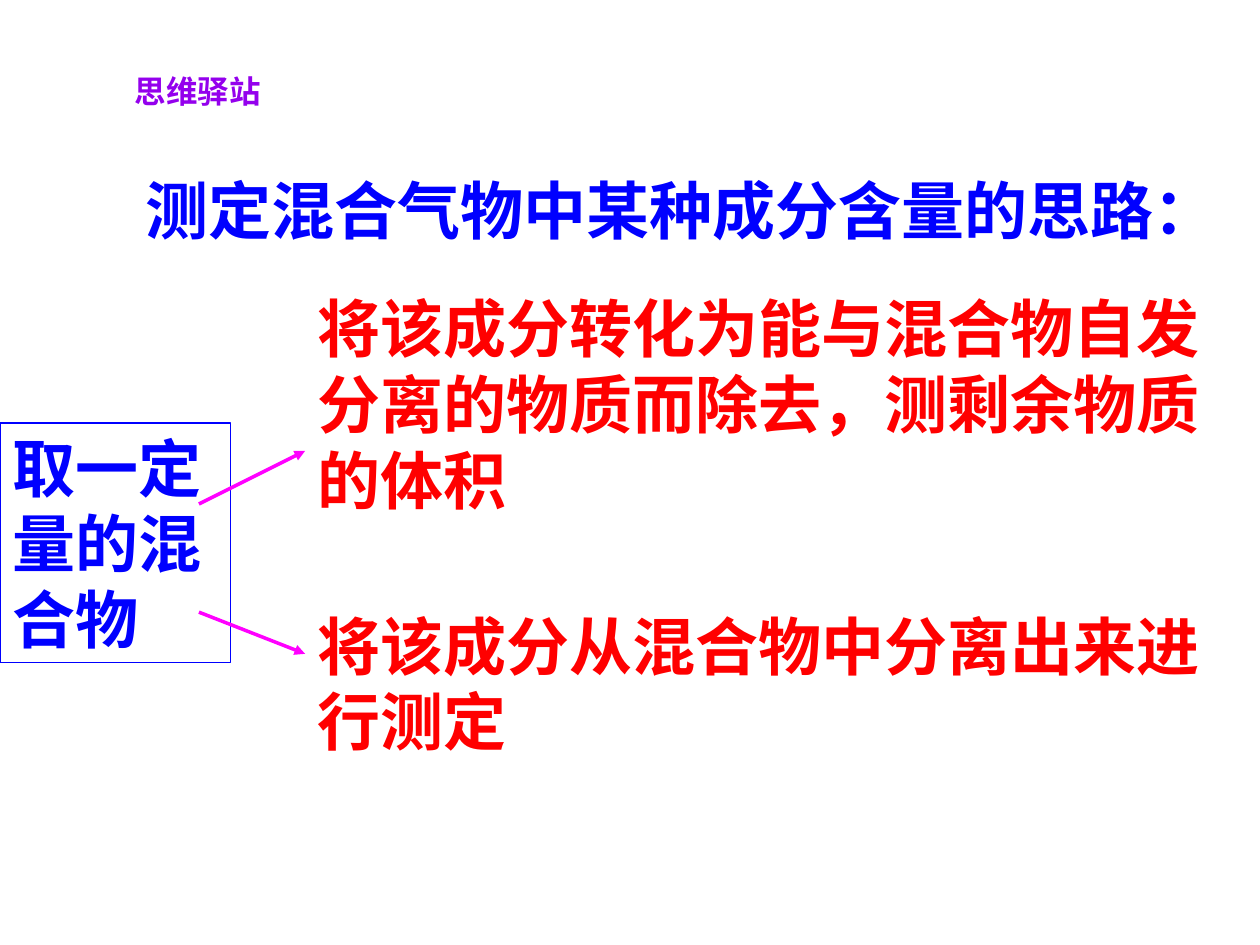
"""Build a slide on two ways to measure one component of a mixture."""
import lxml.etree
import pptx
import pptx.dml.color
import pptx.enum.shapes
import pptx.enum.text
import pptx.oxml.ns
import pptx.util

Cm = pptx.util.Cm
Pt = pptx.util.Pt
Align = pptx.enum.text.PP_ALIGN
Anchor = pptx.enum.text.MSO_ANCHOR

BRANCH_LEFT, BRANCH_WIDTH = 6.15, 19.25
ARROW_LEFT = 4.01

THEME = {
    "label": {"font": "Noto Sans CJK JP", "size": 18, "color": "9400ED"},
    "main": {"font": "Times New Roman", "size": 36, "color": "0000FF"},
    "branch": {"font": "Times New Roman", "size": 36, "color": "FF0000"},
    "frame": {"color": "0000FF", "width": 0.75},
    "arrow": {"color": "FF00FF", "width": 2},
}

TEXTS = [
    {"text": "思维驿站", "style": "label", "at": (0.89, 0.71, 6.2, 2.24),
     "align": Align.CENTER, "anchor": Anchor.MIDDLE},
    {"text": "测定混合气物中某种成分含量的思路：", "style": "main",
     "at": (2.69, 3.33, 22.1, 1.78), "wrap": False},
    {"text": "取一定量的混合物", "style": "main",
     "at": (0, 8.53, 4.65, 4.83), "framed": True},
    {"text": "将该成分转化为能与混合物自发 分离的物质而除去，测剩余物质的体积",
     "style": "branch", "at": (BRANCH_LEFT, 5.72, BRANCH_WIDTH, 4.83)},
    {"text": "将该成分从混合物中分离出来进行测定",
     "style": "branch", "at": (BRANCH_LEFT, 12.12, BRANCH_WIDTH, 3.3)},
]

ARROW_HEIGHTS = [(10.16, 9.09), (12.34, 13.18)]


def rgb(value):
    """Turn a hex string into a colour."""
    return pptx.dml.color.RGBColor.from_string(value)


def set_all(target, values):
    """Set every attribute named in a dict."""
    for name, value in values.items():
        setattr(target, name, value)


def draw_line(line, style):
    """Give a line its colour and width."""
    line.color.rgb = rgb(style["color"])
    line.width = Pt(style["width"])


def add_text(page, item):
    """Add one text box, framed by a rectangle where asked."""
    place = [Cm(length) for length in item["at"]]
    if item.get("framed"):
        box = page.shapes.add_shape(
            pptx.enum.shapes.MSO_SHAPE.RECTANGLE, *place)
        box.shadow.inherit = False
        box.fill.background()
        draw_line(box.line, THEME["frame"])
    else:
        box = page.shapes.add_textbox(*place)
    set_all(box.text_frame, {
        "word_wrap": item.get("wrap", True),
        "vertical_anchor": item.get("anchor", Anchor.TOP),
    })
    para = box.text_frame.paragraphs[0]
    para.alignment = item.get("align", Align.LEFT)
    span = para.add_run()
    span.text = item["text"]
    style = THEME[item["style"]]
    set_all(span.font, {
        "name": style["font"], "size": Pt(style["size"]), "bold": True})
    span.font.color.rgb = rgb(style["color"])


def add_arrow(page, start, end):
    """Add one arrow from the mixture to a branch."""
    arrow = page.shapes.add_connector(
        pptx.enum.shapes.MSO_CONNECTOR.STRAIGHT,
        Cm(ARROW_LEFT), Cm(start), Cm(BRANCH_LEFT), Cm(end))
    draw_line(arrow.line, THEME["arrow"])
    qn = pptx.oxml.ns.qn
    properties = arrow.element.spPr
    lxml.etree.SubElement(
        properties.find(qn("a:ln")), qn("a:tailEnd"), type="triangle")
    lxml.etree.SubElement(properties, qn("a:effectLst"))


def main():
    """Build and save the deck."""
    deck = pptx.Presentation()
    set_all(deck, {"slide_width": Cm(25.4), "slide_height": Cm(19.05)})
    page = deck.slides.add_slide(deck.slide_layouts[6])
    for item in TEXTS:
        add_text(page, item)
    for start, end in ARROW_HEIGHTS:
        add_arrow(page, start, end)
    deck.save("out.pptx")


if __name__ == "__main__":
    main()
